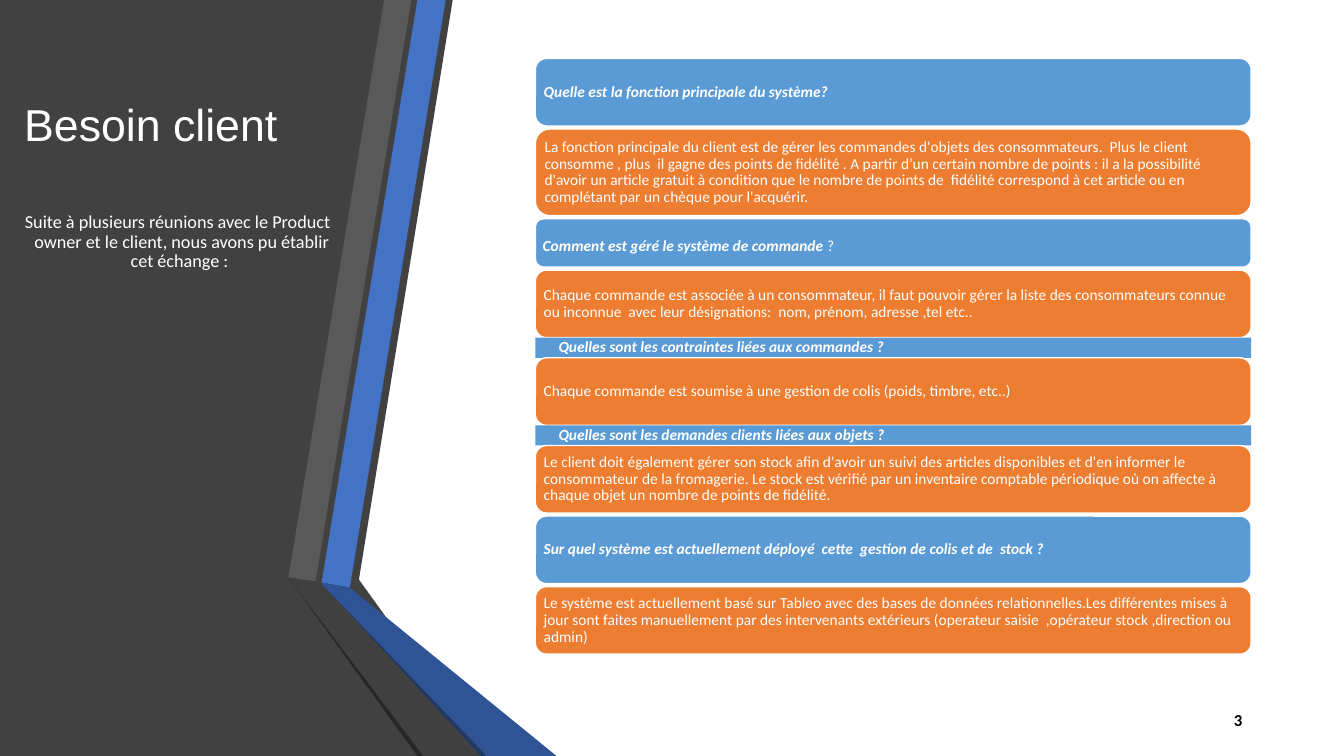
from dataclasses import dataclass

from pptx import Presentation
from pptx.dml.color import RGBColor
from pptx.enum.shapes import MSO_SHAPE
from pptx.enum.text import MSO_ANCHOR, MSO_AUTO_SIZE, PP_ALIGN
from pptx.util import Inches, Pt

ROUNDED, RECTANGLE = MSO_SHAPE.ROUNDED_RECTANGLE, MSO_SHAPE.RECTANGLE
TOP, MIDDLE = MSO_ANCHOR.TOP, MSO_ANCHOR.MIDDLE
LEFT, CENTER, RIGHT = PP_ALIGN.LEFT, PP_ALIGN.CENTER, PP_ALIGN.RIGHT
NO_AUTOFIT = MSO_AUTO_SIZE.NONE


@dataclass(frozen=True)
class Theme:
    heading_font: str = "Arial"
    body_font: str = "Calibri"
    white: str = "FFFFFF"
    black: str = "000000"
    panel: str = "414141"
    question: str = "5B9BD5"
    answer: str = "ED7D31"
    heading_size: float = 31.9
    intro_size: float = 13
    exchange_size: float = 11
    number_size: float = 12
    intro_gap: float = 44
    line_spacing: float = 0.9


class SlideBuilder:
    def __init__(self, slide, theme):
        self.slide = slide
        self.theme = theme

    def paint(self, shape, color, outline=None):
        shape.shadow.inherit = False
        shape.fill.solid()
        shape.fill.fore_color.rgb = RGBColor.from_string(color)
        if outline:
            shape.line.color.rgb = RGBColor.from_string(outline)
            shape.line.width = Pt(1)
        else:
            shape.line.fill.background()

    def frame(self, shape, margins, anchor=MIDDLE):
        frame = shape.text_frame
        frame.word_wrap = True
        frame.auto_size = NO_AUTOFIT
        frame.vertical_anchor = anchor
        (frame.margin_left, frame.margin_top,
         frame.margin_right, frame.margin_bottom) = map(Inches, margins)
        return frame

    def style(self, paragraph, size, color, align=LEFT, family=None):
        paragraph.alignment = align
        paragraph.line_spacing = self.theme.line_spacing
        paragraph.font.size = Pt(size)
        paragraph.font.name = family or self.theme.body_font
        paragraph.font.color.rgb = RGBColor.from_string(color)

    def outline(self, points, color):
        corners = [(Inches(x), Inches(y)) for x, y in points]
        builder = self.slide.shapes.build_freeform(*corners[0])
        builder.add_line_segments(corners[1:], close=True)
        self.paint(builder.convert_to_shape(), color)

    def title(self, heading, intro, box):
        theme = self.theme
        title = self.slide.shapes.title
        title.left, title.top, title.width, title.height = map(Inches, box)
        frame = self.frame(title, (0.1, 0.05, 0.1, 0.05))
        heading_line = frame.paragraphs[0]
        heading_line.text = heading
        self.style(heading_line, theme.heading_size, theme.white,
                   family=theme.heading_font)
        intro_line = frame.add_paragraph()
        intro_line.text = intro
        intro_line.space_before = Pt(theme.intro_gap)
        self.style(intro_line, theme.intro_size, theme.white, CENTER)

    def exchange(self, text, plain_end, box, is_question, is_band):
        theme = self.theme
        card = self.slide.shapes.add_shape(
            RECTANGLE if is_band else ROUNDED, *map(Inches, box))
        self.paint(card, theme.question if is_question else theme.answer,
                   None if is_band else theme.white)
        if is_band:
            frame = self.frame(card, (0.23, 0.02, 0.09, 0.02), TOP)
        else:
            top = 0.11 if plain_end else 0.05
            frame = self.frame(card, (0.05, top, 0.05, 0.05))
        line = frame.paragraphs[0]
        self.style(line, theme.exchange_size, theme.white)
        wording = line.add_run()
        wording.text = text
        if plain_end:
            wording.font.bold = wording.font.italic = True
            line.add_run().text = plain_end
        else:
            line.font.bold = line.font.italic = is_question

    def number(self, text, box):
        holder = self.slide.shapes.add_textbox(*map(Inches, box))
        line = self.frame(holder, (0.1, 0.05, 0.1, 0.05)).paragraphs[0]
        line.text = text
        self.style(line, self.theme.number_size, self.theme.black, RIGHT)
        line.font.bold = True


RIBBONS = [
    ("4472C4", [(3.19, 5.78), (3.47, 5.83), (4.42, 0), (4.14, 0)]),
    ("595959", [(4.08, 0), (3.81, 0), (2.86, 5.73), (3.13, 5.77)]),
    ("262626", [(2.86, 5.73), (4.14, 7.5), (4.2, 7.5)]),
    ("1F3864", [(3.19, 5.79), (4.77, 7.5), (4.83, 7.5)]),
    ("2F5496", [(3.19, 5.79), (4.83, 7.5), (5.52, 7.5), (3.47, 5.83),
                (3.19, 5.78)]),
    ("404040", [(4.71, 7.5), (3.18, 5.83), (3.13, 5.77), (2.86, 5.73),
                (4.2, 7.5)]),
]
PANEL = [(0, 0), (4.49, 0), (3.56, 5.75), (4.82, 7.5), (0, 7.5)]

CARD, BAND, GAP = 0.67, 0.2, 0.03
EXCHANGES = [
    (CARD, "Quelle est la fonction principale du système?", ""),
    (0.86, "La fonction principale du client est de gérer les commandes "
     "d'objets des consommateurs.  Plus le client consomme , plus  il gagne "
     "des points de fidélité . A partir d’un certain nombre de points : il a "
     "la possibilité  d'avoir un article gratuit à condition que le nombre de "
     "points de  fidélité correspond à cet article ou en complétant par un "
     "chèque pour l'acquérir.", ""),
    (0.48, "Comment est géré le système de commande", " ?"),
    (CARD, "Chaque commande est associée à un consommateur, il faut pouvoir "
     "gérer la liste des consommateurs connue ou inconnue  avec leur "
     "désignations:  nom, prénom, adresse ,tel etc..", ""),
    (BAND, "Quelles sont les contraintes liées aux commandes ?", ""),
    (CARD, "Chaque commande est soumise à une gestion de colis (poids, "
     "timbre, etc..)", ""),
    (BAND, "Quelles sont les demandes clients liées aux objets ?", ""),
    (CARD, "Le client doit également gérer son stock afin d'avoir un suivi "
     "des articles disponibles et d'en informer le consommateur de la "
     "fromagerie. Le stock est vérifié par un inventaire comptable périodique "
     "où on affecte à chaque objet un nombre de points de fidélité.", ""),
    (CARD, "Sur quel système est actuellement déployé  cette  gestion de "
     "colis et de  stock ?", ""),
    (CARD, "Le système est actuellement basé sur Tableo avec des bases de "
     "données relationnelles.Les différentes mises à jour sont faites "
     "manuellement par des intervenants extérieurs (operateur saisie  "
     ",opérateur stock ,direction ou admin)", ""),
]


def main():
    deck = Presentation()
    deck.slide_width, deck.slide_height = Inches(13.33), Inches(7.5)
    theme = Theme()
    builder = SlideBuilder(deck.slides.add_slide(deck.slide_layouts[5]), theme)

    builder.outline(PANEL, theme.panel)
    for color, points in RIBBONS:
        builder.outline(points, color)

    title = builder.slide.shapes.title
    title.element.getparent().append(title.element)
    builder.title(
        "Besoin client",
        "Suite à plusieurs réunions avec le Product   owner et le client, "
        "nous avons pu établir cet échange :",
        (0.14, 0.65, 3.28, 2.42))

    top, previous = 0.58, BAND
    for index, (height, text, plain_end) in enumerate(EXCHANGES):
        if BAND not in (height, previous):
            top += GAP
        builder.exchange(text, plain_end, (5.31, top, 7.1, height),
                         index % 2 == 0, height == BAND)
        top, previous = top + height, height

    builder.number("3", (9.42, 6.95, 3, 0.4))
    deck.save("out.pptx")


if __name__ == "__main__":
    main()
